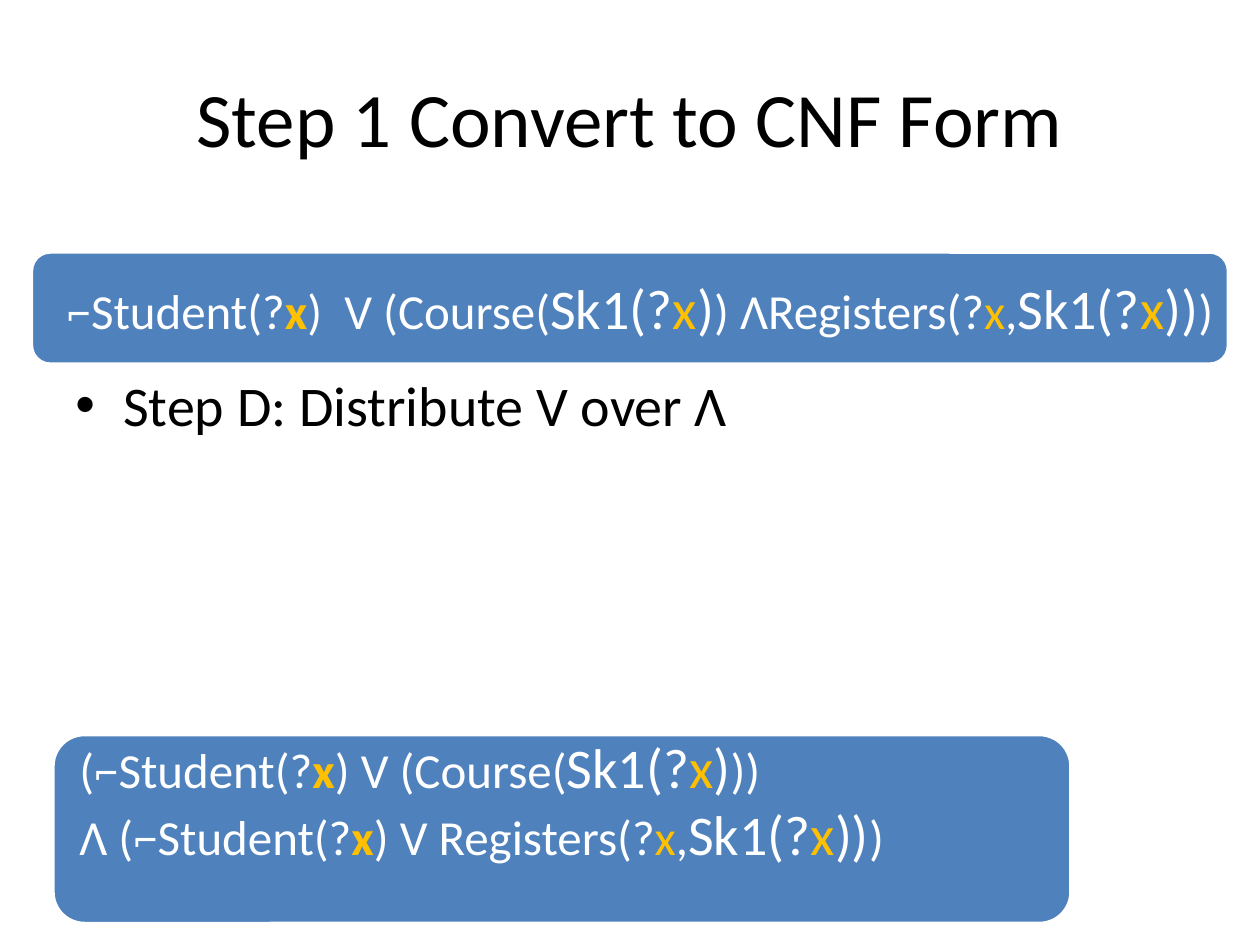
from dataclasses import dataclass
from typing import NamedTuple

from lxml.etree import SubElement
from pptx import Presentation
from pptx.dml.color import RGBColor
from pptx.enum.shapes import MSO_SHAPE
from pptx.enum.text import MSO_ANCHOR, PP_ALIGN
from pptx.oxml.ns import qn
from pptx.util import Inches, Pt

COLUMNS, ROWS = 100, 75
TITLE_ONLY = 5


@dataclass(frozen=True)
class Theme:
    font: str = "Calibri"
    ink: RGBColor = RGBColor(0, 0, 0)
    paper: RGBColor = RGBColor(255, 255, 255)
    panel: RGBColor = RGBColor.from_string("4F81BD")
    variable: RGBColor = RGBColor.from_string("FFC000")
    title_size: int = 44
    step_size: int = 32
    skolem_size: int = 32
    clause_size: int = 28


THEME = Theme()


class Frame(NamedTuple):
    column: float
    row: float
    columns: float
    rows: float


class Term(NamedTuple):
    text: str
    size: int = THEME.clause_size
    color: RGBColor = THEME.paper
    bold: bool = False


@dataclass(frozen=True)
class Formula:
    panel: Frame
    label: Frame
    clauses: list[list[Term]]


BOUND_X = Term("x", color=THEME.variable, bold=True)
FREE_X = Term("x", color=THEME.variable)
SKOLEM = [Term("Sk1(?", THEME.skolem_size), Term("x", THEME.skolem_size, THEME.variable)]
CLOSE_ONE = Term(")", THEME.skolem_size)
CLOSE_TWO = Term("))", THEME.skolem_size)
REGISTERED = [FREE_X, Term(","), *SKOLEM, CLOSE_TWO, Term(")")]

FORMULAS = [
    Formula(Frame(2.5, 20, 95, 8.9), Frame(4.2, 20.4, 95, 8), [
        [Term("⌐Student(?"), BOUND_X, Term(")  V (Course("), *SKOLEM, CLOSE_ONE,
         Term(") ΛRegisters(?"), *REGISTERED],
    ]),
    Formula(Frame(4.2, 58.3, 80.8, 15), Frame(5.2, 56.7, 78.8, 13.5), [
        [Term("(⌐Student(?"), BOUND_X, Term(") V (Course("), *SKOLEM, CLOSE_ONE, Term("))")],
        [Term("Λ (⌐Student(?"), BOUND_X, Term(") V Registers(?"), *REGISTERED],
    ]),
]


def place(frame: Frame, deck) -> tuple[int, int, int, int]:
    column, row = deck.slide_width / COLUMNS, deck.slide_height / ROWS
    return (round(frame.column * column), round(frame.row * row),
            round(frame.columns * column), round(frame.rows * row))


def set_font(font, size: int, color: RGBColor) -> None:
    font.name, font.size = THEME.font, Pt(size)
    font.color.rgb = color


def add_title(slide, deck, wording: str, frame: Frame) -> None:
    title = slide.shapes.title
    title.left, title.top, title.width, title.height = place(frame, deck)
    title.text_frame.text = wording
    title.text_frame.vertical_anchor = MSO_ANCHOR.MIDDLE
    heading = title.text_frame.paragraphs[0]
    heading.alignment = PP_ALIGN.CENTER
    set_font(heading.font, THEME.title_size, THEME.ink)


def add_step(slide, deck, wording: str, frame: Frame) -> None:
    body = slide.shapes.add_textbox(*place(frame, deck)).text_frame
    body.word_wrap = True
    step = body.paragraphs[0]
    step.text = wording
    properties = step._p.get_or_add_pPr()
    properties.set("marL", str(Inches(0.38)))
    properties.set("indent", str(Inches(-0.38)))
    SubElement(properties, qn("a:buFont"), typeface="Arial")
    SubElement(properties, qn("a:buChar"), char="•")
    set_font(step.font, THEME.step_size, THEME.ink)


def add_formula(slide, deck, formula: Formula) -> None:
    panel = slide.shapes.add_shape(MSO_SHAPE.ROUNDED_RECTANGLE, *place(formula.panel, deck))
    panel.adjustments[0] = 0.167
    panel.shadow.inherit = False
    panel.fill.solid()
    panel.fill.fore_color.rgb = THEME.panel
    panel.line.color.rgb = THEME.paper
    panel.line.width = Pt(2)

    label = slide.shapes.add_textbox(*place(formula.label, deck)).text_frame
    label.word_wrap = True
    label.vertical_anchor = MSO_ANCHOR.MIDDLE
    label.margin_left = label.margin_right = Inches(0.11)
    label.margin_top = label.margin_bottom = Inches(0.11)
    for index, clause in enumerate(formula.clauses):
        line = label.add_paragraph() if index else label.paragraphs[0]
        line.font.name = THEME.font
        for term in clause:
            run = line.add_run()
            run.text = term.text
            run.font.size = Pt(term.size)
            run.font.color.rgb = term.color
            run.font.bold = term.bold


def main() -> None:
    deck = Presentation()
    deck.slide_width, deck.slide_height = Inches(10), Inches(7.5)
    slide = deck.slides.add_slide(deck.slide_layouts[TITLE_ONLY])
    add_title(slide, deck, "Step 1 Convert to CNF Form", Frame(5, 3, 90, 12.5))
    add_step(slide, deck, "Step D: Distribute V over Λ", Frame(5, 28.9, 90, 38.1))
    for formula in FORMULAS:
        add_formula(slide, deck, formula)
    deck.save("out.pptx")


if __name__ == "__main__":
    main()
